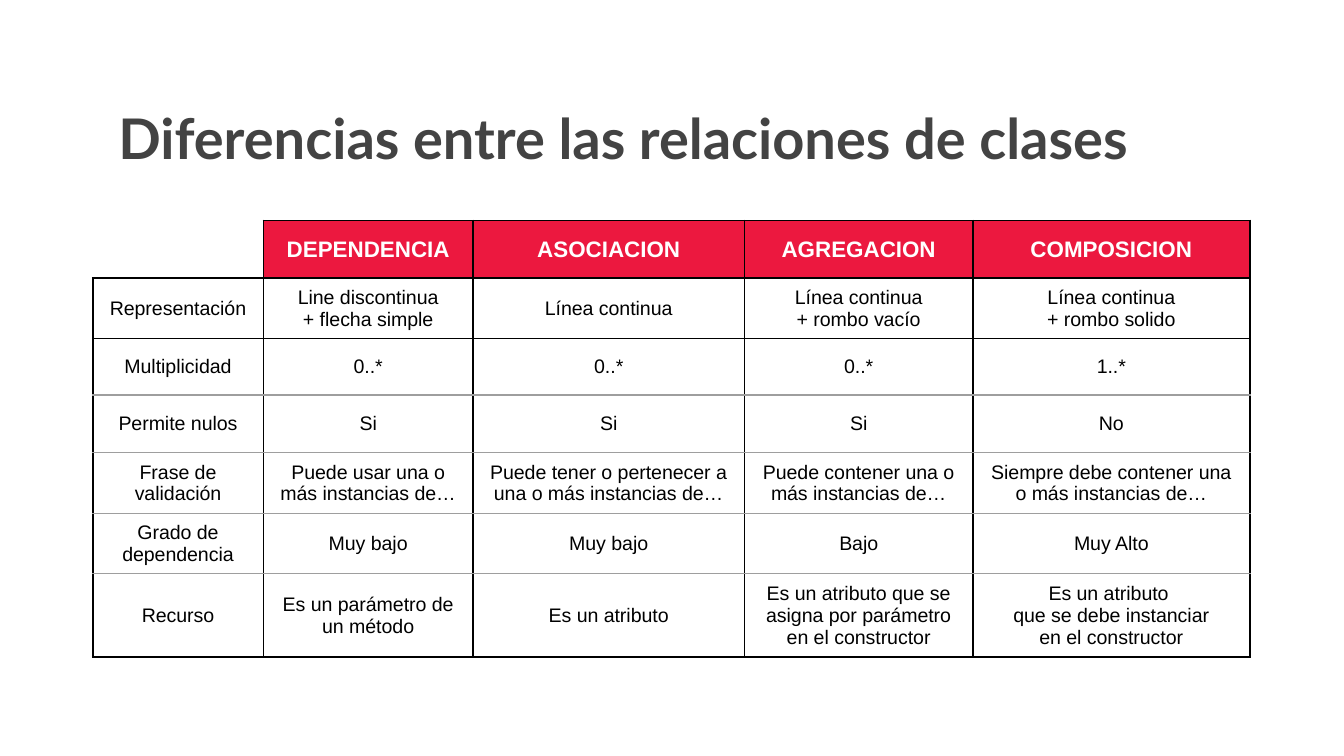
from lxml import etree
from pptx import Presentation
from pptx.dml.color import RGBColor
from pptx.enum.text import MSO_ANCHOR, PP_ALIGN
from pptx.oxml.ns import qn
from pptx.util import Inches, Pt

MIDDLE, BOTTOM = MSO_ANCHOR.MIDDLE, MSO_ANCHOR.BOTTOM
LEFT, CENTER = PP_ALIGN.LEFT, PP_ALIGN.CENTER
TITLE_ONLY = 5

COLORS = {
    "title": "434343",
    "header": "EC183F",
    "white": "FFFFFF",
    "black": "000000",
    "gray": "9E9E9E",
}
OUTLINE = ("black", 1)
DIVIDER = ("gray", 0.75)

COLUMN_WIDTHS = [1.27, 1.56, 2.02, 1.7, 2.06]
ROW_HEIGHTS = [0.43, 0.45, 0.42, 0.43, 0.45, 0.45, 0.62]
ROWS = [
    ["", "DEPENDENCIA", "ASOCIACION", "AGREGACION", "COMPOSICION"],
    ["Representación", "Line discontinua\n+ flecha simple", "Línea continua",
     "Línea continua\n+ rombo vacío", "Línea continua\n+ rombo solido"],
    ["Multiplicidad", "0..*", "0..*", "0..*", "1..*"],
    ["Permite nulos", "Si", "Si", "Si", "No"],
    ["Frase de validación", "Puede usar una o más instancias de…",
     "Puede tener o pertenecer a una o más instancias de…",
     "Puede contener una o más instancias de…",
     "Siempre debe contener una o más instancias de…"],
    ["Grado de dependencia", "Muy bajo", "Muy bajo", "Bajo", "Muy Alto"],
    ["Recurso", "Es un parámetro de un método", "Es un atributo",
     "Es un atributo que se asigna por parámetro en el constructor",
     "Es un atributo \nque se debe instanciar\nen el constructor"],
]


def color(name):
    return RGBColor.from_string(COLORS[name])


def format_paragraphs(text_frame, font_name, size, color_name, bold, alignment):
    for paragraph in text_frame.paragraphs:
        paragraph.alignment = alignment
        paragraph.font.name = font_name
        paragraph.font.size = Pt(size)
        paragraph.font.bold = bold
        paragraph.font.color.rgb = color(color_name)


def set_borders(cell, **borders):
    properties = cell._tc.get_or_add_tcPr()
    for side in ("left", "right", "top", "bottom"):
        line = etree.SubElement(properties, qn(f"a:ln{side[0].upper()}"))
        if borders[side] is None:
            etree.SubElement(line, qn("a:noFill"))
            continue
        color_name, width = borders[side]
        line.set("w", str(Pt(width)))
        fill = etree.SubElement(line, qn("a:solidFill"))
        etree.SubElement(fill, qn("a:srgbClr"), val=COLORS[color_name])


def horizontal_border(boundary):
    return OUTLINE if boundary in (0, 1, 2, len(ROWS)) else DIVIDER


def format_cell(cell, row, column):
    is_header = row == 0
    is_corner = is_header and column == 0
    set_borders(
        cell,
        left=None if is_corner else OUTLINE,
        right=OUTLINE,
        top=None if is_corner else horizontal_border(row),
        bottom=horizontal_border(row + 1),
    )
    if is_header:
        cell.fill.solid()
        cell.fill.fore_color.rgb = color("white" if is_corner else "header")
    else:
        cell.fill.background()
    cell.vertical_anchor = MIDDLE
    cell.margin_left = cell.margin_right = Inches(0.1)
    cell.margin_top = cell.margin_bottom = Inches(0.06)
    cell.text = ROWS[row][column]
    format_paragraphs(cell.text_frame, "Arial", 12 if is_header else 10.5,
                      "white" if is_header else "black", is_header, CENTER)


def place_title(slide, left, top, width, height):
    title = slide.shapes.title
    title.left, title.top = Inches(left), Inches(top)
    title.width, title.height = Inches(width), Inches(height)
    text_frame = title.text_frame
    text_frame.text = "Diferencias entre las relaciones de clases"
    text_frame.word_wrap = True
    text_frame.vertical_anchor = BOTTOM
    text_frame.margin_left = text_frame.margin_right = Inches(0.1)
    text_frame.margin_top = text_frame.margin_bottom = Inches(0.1)
    format_paragraphs(text_frame, "Lato", 30, "title", True, LEFT)


def place_comparison_table(slide, left, top):
    table = slide.shapes.add_table(
        len(ROWS), len(COLUMN_WIDTHS), Inches(left), Inches(top),
        Inches(sum(COLUMN_WIDTHS)), Inches(sum(ROW_HEIGHTS))).table
    table.horz_banding = False
    for column, width in zip(table.columns, COLUMN_WIDTHS):
        column.width = Inches(width)
    for row, height in zip(table.rows, ROW_HEIGHTS):
        row.height = Inches(height)
    for row in range(len(ROWS)):
        for column in range(len(COLUMN_WIDTHS)):
            format_cell(table.cell(row, column), row, column)


def main():
    presentation = Presentation()
    presentation.slide_width = Inches(10)
    presentation.slide_height = presentation.slide_width * 9 // 16
    slide = presentation.slides.add_slide(presentation.slide_layouts[TITLE_ONLY])
    place_title(slide, 0.78, 0.68, 8.43, 0.69)
    place_comparison_table(slide, 0.69, 1.64)
    presentation.save("out.pptx")


if __name__ == "__main__":
    main()
